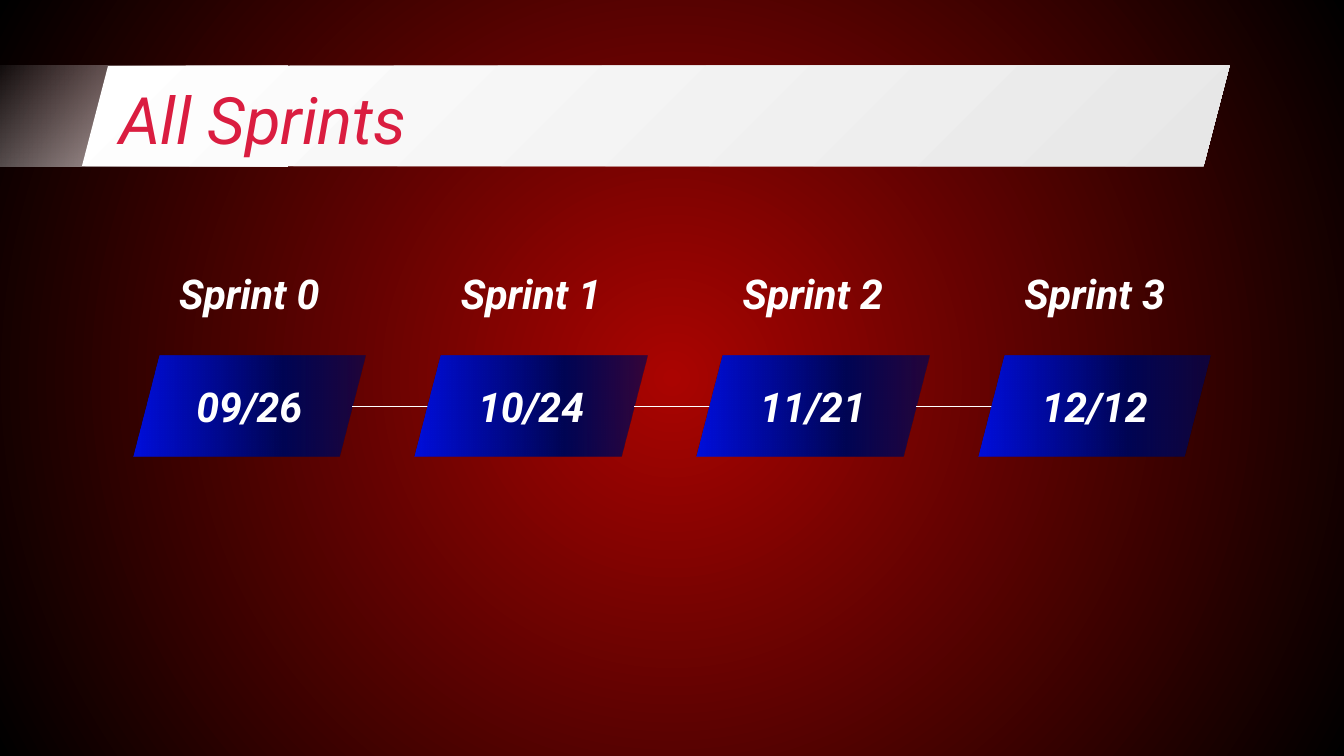
from lxml.etree import SubElement
from pptx import Presentation
from pptx.dml.color import RGBColor
from pptx.enum.shapes import MSO_CONNECTOR, MSO_SHAPE
from pptx.enum.text import MSO_ANCHOR, PP_ALIGN
from pptx.oxml.ns import qn
from pptx.util import Cm, Pt

HUES = {"white": "FFFFFF", "grey": "E7E7E7", "pink": "DA1D40", "red": "AA0401",
        "black": "000000", "blue": "000FDD", "navy": "000655"}
FONT = "Roboto"
SPRINTS = [("Sprint 0", "09/26"), ("Sprint 1", "10/24"),
           ("Sprint 2", "11/21"), ("Sprint 3", "12/12")]
SLANT = 0.26


def blend(owner, fill, stops, angle=None):
    """Give a fill (position, hue, opacity) stops, linear or radial."""
    fill.gradient()
    grad = owner.find(".//" + qn("a:gradFill"))
    for child in list(grad):
        grad.remove(child)
    group = SubElement(grad, qn("a:gsLst"))
    for place, hue, alpha in stops:
        stop = SubElement(group, qn("a:gs"), pos=str(place * 1000))
        color = SubElement(stop, qn("a:srgbClr"), val=HUES[hue])
        if alpha < 100:
            SubElement(color, qn("a:alpha"), val=str(alpha * 1000))
    if angle is None:
        way = SubElement(grad, qn("a:path"), path="circle")
        SubElement(way, qn("a:fillToRect"), dict.fromkeys("ltrb", "50000"))
    else:
        SubElement(grad, qn("a:lin"), ang=str(angle * 60000), scaled="0")


def panel(slide, kind, box, stops, angle):
    """Add a borderless shape with a gradient fill."""
    shape = slide.shapes.add_shape(kind, *map(Cm, box))
    shape.shadow.inherit = False
    shape.line.fill.background()
    blend(shape.element, shape.fill, stops, angle)
    if kind == MSO_SHAPE.PARALLELOGRAM:
        shape.adjustments[0] = SLANT
    return shape


def write(shape, text, size, hue, bold=True, align=PP_ALIGN.CENTER,
          anchor=MSO_ANCHOR.TOP):
    """Set one italic line of text in a shape."""
    frame = shape.text_frame
    frame.word_wrap = True
    frame.vertical_anchor = anchor
    frame.margin_left = frame.margin_right = Cm(0.25)
    frame.margin_top = frame.margin_bottom = Cm(0.25)
    line = frame.paragraphs[0]
    line.text = text
    line.alignment = align
    font = line.font
    font.name, font.size = FONT, Pt(size)
    font.bold, font.italic = bold, True
    font.color.rgb = RGBColor.from_string(HUES[hue])


def link(slide, left, right, y):
    """Draw a thin white level line."""
    line = slide.shapes.add_connector(
        MSO_CONNECTOR.STRAIGHT, Cm(left), Cm(y), Cm(right), Cm(y))
    line.line.color.rgb = RGBColor.from_string(HUES["white"])
    line.line.width = Pt(0.75)
    SubElement(line.element.spPr, qn("a:effectLst"))


def banner(slide, x, y, wide, high):
    """Place the title on a slanted bar with a fading tail."""
    panel(slide, MSO_SHAPE.RECTANGLE, (x - 1.93, y, 5.82, high),
          [(0, "white", 0), (100, "white", 100)], 45)
    panel(slide, MSO_SHAPE.PARALLELOGRAM, (x, y, wide, high),
          [(0, "white", 100), (100, "grey", 100)], 45)
    title = slide.shapes.add_textbox(
        Cm(x + 0.46), Cm(y), Cm(wide - 0.28), Cm(1.6))
    write(title, "All Sprints", 35, "pink", False, PP_ALIGN.LEFT)


def track(slide, x, y, wide, high):
    """Place the sprint names over a row of linked dates."""
    step = wide / len(SPRINTS)
    tile, tall = 4.39, 1.9
    inset = (step - tile) / 2
    top = y + high - tall
    half = SLANT * tall / 2
    for i, (name, date) in enumerate(SPRINTS):
        left = x + i * step
        label = slide.shapes.add_textbox(
            Cm(left), Cm(y), Cm(step), Cm(1.35))
        write(label, name, 22, "white")
        start = left + inset
        shape = panel(slide, MSO_SHAPE.PARALLELOGRAM, (start, top, tile, tall),
                      [(0, "blue", 100), (64, "navy", 100), (100, "navy", 67)], 0)
        write(shape, date, 22, "white", anchor=MSO_ANCHOR.MIDDLE)
        if i < len(SPRINTS) - 1:
            link(slide, start + tile - half, start + step + half, top + tall / 2)


def main():
    """Build the slide and save it."""
    deck = Presentation()
    deck.slide_width, deck.slide_height = Cm(25.4), Cm(14.29)
    slide = deck.slides.add_slide(deck.slide_layouts[6])
    blend(slide.element, slide.background.fill,
          [(0, "red", 100), (100, "black", 100)])
    banner(slide, 1.55, 1.24, 21.69, 1.9)
    track(slide, 2.05, 4.83, 21.3, 3.8)
    deck.save("out.pptx")


if __name__ == "__main__":
    main()
